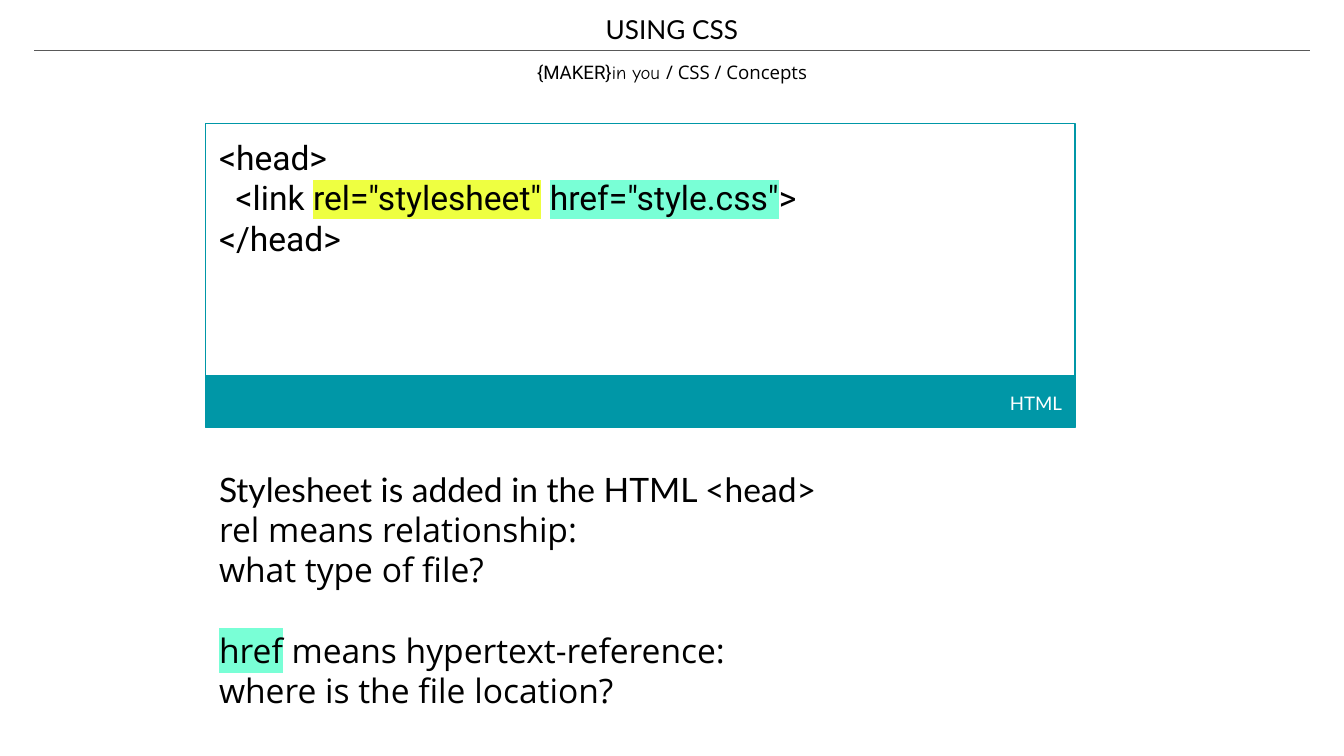
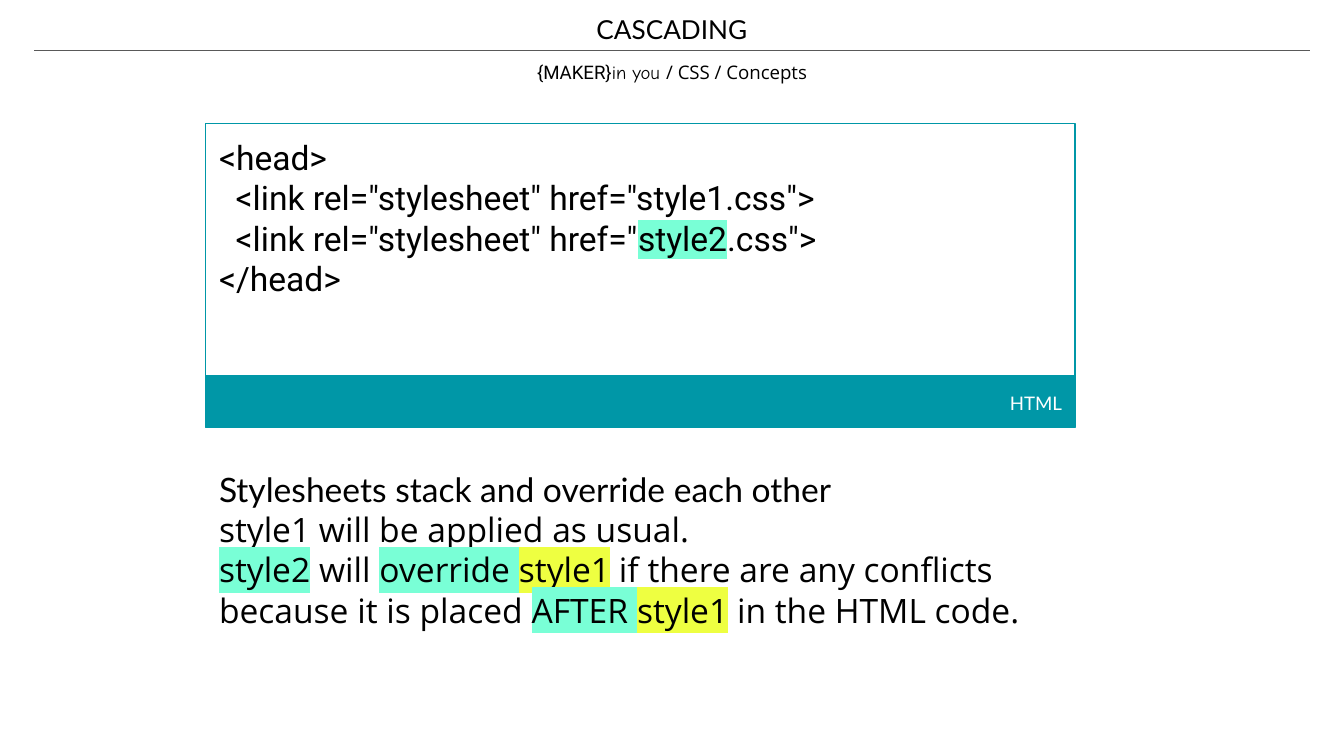
from lxml import etree
from pptx import Presentation
from pptx import util as u
from pptx.dml.color import RGBColor
from pptx.enum import shapes, text
from pptx.oxml import ns

BLACK = RGBColor(0x00, 0x00, 0x00)
WHITE = RGBColor(0xFF, 0xFF, 0xFF)
GREY = RGBColor(0x59, 0x59, 0x59)
TEAL = RGBColor(0x00, 0x97, 0xA7)
MINT = RGBColor(0x79, 0xFF, 0xD6)
YELLOW = RGBColor(0xEE, 0xFF, 0x41)

TITLE_FONT, BODY_FONT, CODE_FONT, ACCENT_FONT = "Lato", "Open Sans", "Roboto", "Comic Neue"
LINE_PITCH = u.Pt(21.6)
PANEL_LEFT, PANEL_WIDTH = 3.89, 16.43
HEADER_LEFT, HEADER_WIDTH = 8.05, 9.3


class Deck:
    """Holds the shared style and the slide being built."""

    def __init__(self):
        self.presentation = Presentation()
        self.presentation.slide_width = u.Cm(25.4)
        self.presentation.slide_height = u.Cm(14.29)
        self.slide = None

    def add_slide(self, title):
        self.slide = self.presentation.slides.add_slide(self.presentation.slide_layouts[6])
        self.slide.background.fill.solid()
        self.slide.background.fill.fore_color.rgb = WHITE
        trail = self.text_box(HEADER_LEFT, 0.94, HEADER_WIDTH, 0.84, text.MSO_ANCHOR.BOTTOM)
        paragraph = trail.paragraphs[0]
        paragraph.alignment = text.PP_ALIGN.CENTER
        self.run(paragraph, "{MAKER}", CODE_FONT, 10)
        self.run(paragraph, "in you ", ACCENT_FONT, 10)
        self.run(paragraph, "/ CSS / Concepts", BODY_FONT, 10)
        heading = self.text_box(HEADER_LEFT, 0, HEADER_WIDTH, 0.97)
        paragraph = heading.paragraphs[0]
        paragraph.alignment = text.PP_ALIGN.CENTER
        self.run(paragraph, title, TITLE_FONT, 14)
        self.rule(0.65, 24.75, 0.95)

    def frame(self, shape, anchor=text.MSO_ANCHOR.TOP):
        text_frame = shape.text_frame
        text_frame.word_wrap = True
        text_frame.vertical_anchor = anchor
        text_frame.margin_left = text_frame.margin_right = u.Cm(0.25)
        text_frame.margin_top = text_frame.margin_bottom = u.Cm(0.25)
        return text_frame

    def text_box(self, left, top, width, height, anchor=text.MSO_ANCHOR.TOP):
        box = self.slide.shapes.add_textbox(u.Cm(left), u.Cm(top), u.Cm(width), u.Cm(height))
        return self.frame(box, anchor)

    def rule(self, left, right, top):
        line = self.slide.shapes.add_connector(
            shapes.MSO_CONNECTOR.STRAIGHT, u.Cm(left), u.Cm(top), u.Cm(right), u.Cm(top))
        line.line.color.rgb = GREY
        line.line.width = u.Pt(0.75)
        etree.SubElement(line._element.spPr, ns.qn("a:effectLst"))

    def panel(self, group, top, height, fill=None):
        shape = group.shapes.add_shape(
            shapes.MSO_SHAPE.RECTANGLE, u.Cm(PANEL_LEFT), u.Cm(top), u.Cm(PANEL_WIDTH), u.Cm(height))
        shape.shadow.inherit = False
        shape.line.color.rgb = TEAL
        shape.line.width = u.Pt(0.75)
        if fill is None:
            shape.fill.background()
        else:
            shape.fill.solid()
            shape.fill.fore_color.rgb = fill
        return shape

    def run(self, paragraph, words, font, size, color=BLACK, highlight=None):
        run = paragraph.add_run()
        run.text = words
        run.font.size = u.Pt(size)
        run.font.color.rgb = color
        if highlight is not None:
            marker = etree.Element(ns.qn("a:highlight"))
            etree.SubElement(marker, ns.qn("a:srgbClr"), val=str(highlight))
            run._r.rPr.find(ns.qn("a:solidFill")).addnext(marker)
        run.font.name = font

    def lines(self, text_frame, lines, font, first_font=None):
        for index, pieces in enumerate(lines):
            paragraph = text_frame.paragraphs[0] if index == 0 else text_frame.add_paragraph()
            paragraph.alignment = text.PP_ALIGN.LEFT
            paragraph.line_spacing = LINE_PITCH
            line_font = first_font if first_font and index == 0 else font
            for piece in pieces:
                words, highlight = piece if isinstance(piece, tuple) else (piece, None)
                self.run(paragraph, words, line_font, 18, highlight=highlight)

    def code_block(self, code, language):
        group = self.slide.shapes.add_group_shape()
        self.lines(self.frame(self.panel(group, 2.34, 4.77)), code, CODE_FONT)
        bar = self.frame(self.panel(group, 7.11, 0.97, TEAL), text.MSO_ANCHOR.BOTTOM)
        paragraph = bar.paragraphs[0]
        paragraph.alignment = text.PP_ALIGN.RIGHT
        self.run(paragraph, language, TITLE_FONT, 10, WHITE)

    def explanation(self, lines):
        text_frame = self.text_box(PANEL_LEFT, 8.61, PANEL_WIDTH, 5.31)
        self.lines(text_frame, lines, BODY_FONT, TITLE_FONT)
        return text_frame


def main():
    deck = Deck()

    deck.add_slide("USING CSS")
    notes = deck.explanation([
        ["Stylesheet is added in the HTML <head>"],
        ["rel means relationship:"],
        ["what type of file?"],
        [("href", MINT), " means hypertext-reference:"],
        ["where is the file location?"],
    ])
    notes.paragraphs[3].space_before = LINE_PITCH
    deck.code_block([
        ["<head>"],
        ["  <link ", ('rel="stylesheet"', YELLOW), " ", ('href="style.css"', MINT), ">"],
        ["</head>"],
    ], "HTML")

    deck.add_slide("CASCADING")
    deck.explanation([
        ["Stylesheets stack and override each other"],
        ["style1 will be applied as usual."],
        [("style2", MINT), " will ", ("override ", MINT), ("style1", YELLOW),
         " if there are any conflicts because it is placed ",
         ("AFTER ", MINT), ("style1", YELLOW), " in the HTML code."],
    ])
    deck.code_block([
        ["<head>"],
        ['  <link rel="stylesheet" href="style1.css">'],
        ['  <link rel="stylesheet" href="', ("style2", MINT), '.css">'],
        ["</head>"],
    ], "HTML")

    deck.presentation.save("out.pptx")


if __name__ == "__main__":
    main()
